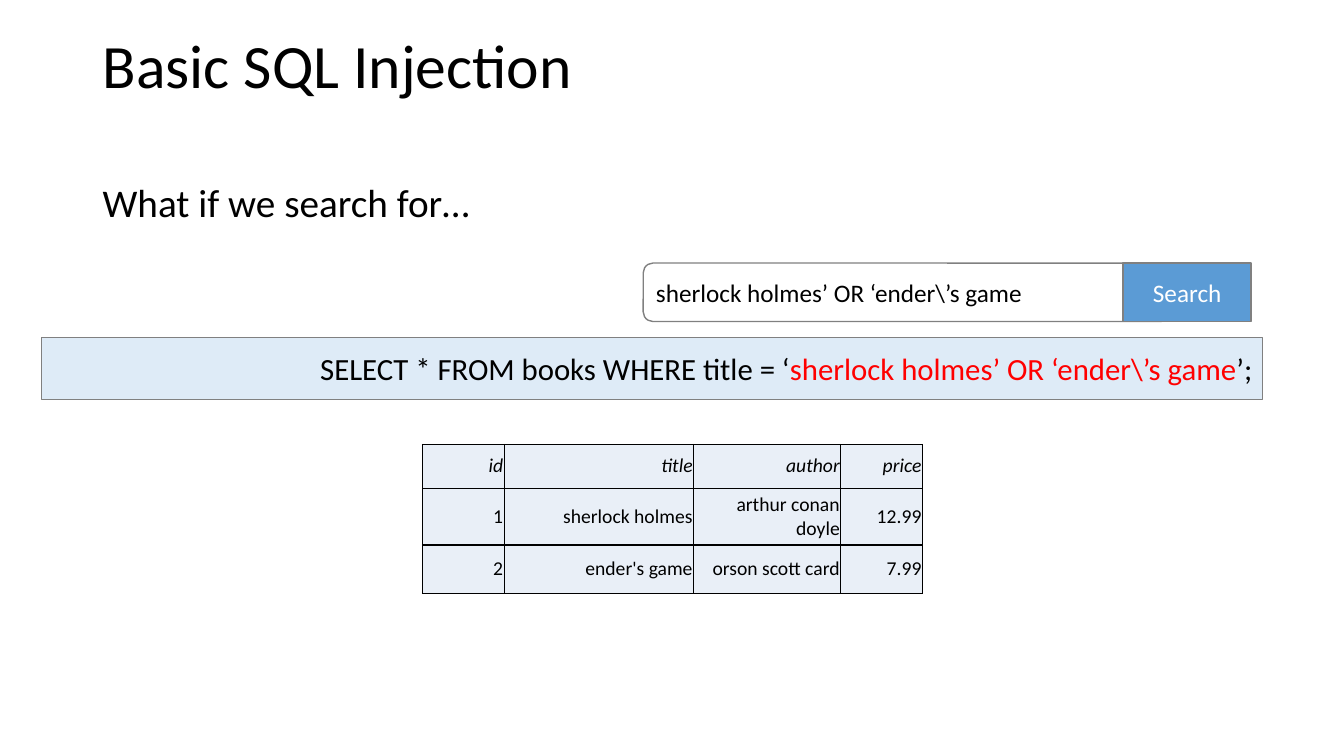
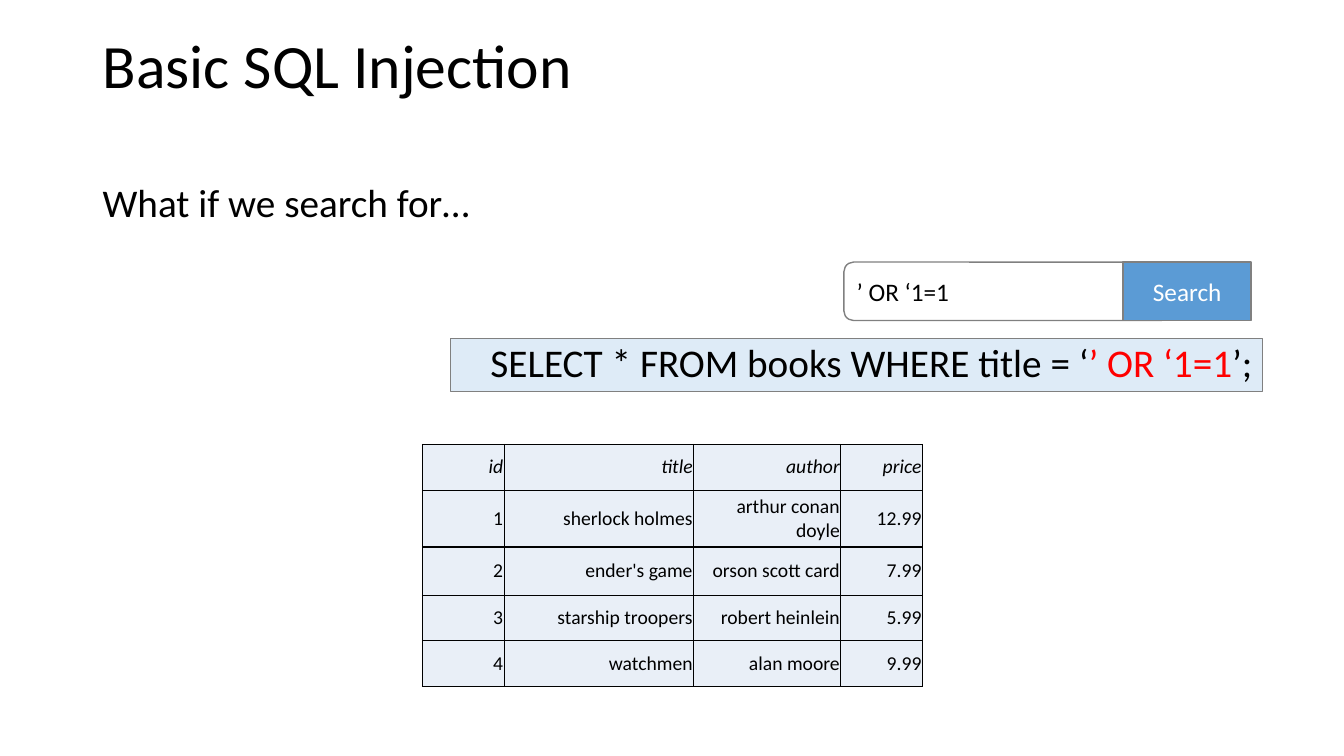
from dataclasses import dataclass
from lxml import etree
from pptx import Presentation, util as u
from pptx.dml.color import RGBColor
from pptx.enum import shapes, text
from pptx.oxml.ns import qn


@dataclass(frozen=True)
class Theme:
    font: str = "Calibri"
    ink: str = "000000"
    white: str = "FFFFFF"
    red: str = "FF0000"
    grey: str = "808080"
    blue: str = "5B9BD5"
    pale: str = "DEEBF7"
    cell: str = "E9EFF7"
    title: int = 44
    body: int = 28
    code: int = 22
    label: int = 18
    table: int = 14


T = Theme()
PX = 9144  # 100 px to the inch
LEFT, MID, RIGHT = text.PP_ALIGN.LEFT, text.PP_ALIGN.CENTER, text.PP_ALIGN.RIGHT
RECT, ROUND = shapes.MSO_SHAPE.RECTANGLE, shapes.MSO_SHAPE.ROUNDED_RECTANGLE
CENTER, TOP = text.MSO_ANCHOR.MIDDLE, text.MSO_ANCHOR.TOP


def write(para, runs, size, align=LEFT):
    """Fill a paragraph with (words, colour) runs."""
    para.alignment = align
    para.font.name, para.font.size = T.font, u.Pt(size)
    for words, color in runs:
        run = para.add_run()
        run.text = words
        run.font.color.rgb = RGBColor.from_string(color)


def box(slide, area, runs, size, align=LEFT, anchor=CENTER, kind=None, fill=T.white, line=1):
    """Add a text box, or a filled and outlined shape when kind is given."""
    area = [n * PX for n in area]
    if kind is None:
        item = slide.shapes.add_textbox(*area)
    else:
        item = slide.shapes.add_shape(kind, *area)
        item.shadow.inherit = False
        item.fill.solid()
        item.fill.fore_color.rgb = RGBColor.from_string(fill)
        item.line.color.rgb = RGBColor.from_string(T.grey)
        item.line.width = u.Pt(line)
    frame = item.text_frame
    frame.word_wrap, frame.vertical_anchor = True, anchor
    write(frame.paragraphs[0], runs, size, align)
    return frame.paragraphs[0]


HEAD = ("id", "title", "author", "price")
BOOKS = [
    ("1", "sherlock holmes", "arthur conan doyle", "12.99"),
    ("2", "ender's game", "orson scott card", "7.99"),
    ("3", "starship troopers", "robert heinlein", "5.99"),
    ("4", "watchmen", "alan moore", "9.99"),
]
COLS = (81, 188, 146, 81)

# Per slide: search term, field left and top, query area, size, anchor, spacing, row heights
PAGES = [
    ("sherlock holmes’ OR ‘ender\\’s game", 638, 261,
     (41, 335, 1211, 61), T.code, CENTER, 1.0, (43, 48, 48)),
    ("’ OR ‘1=1", 837, 260,
     (447, 336, 805, 52), T.body, TOP, 0.9, (45, 48, 48, 45, 45)),
]

deck = Presentation()
deck.slide_width, deck.slide_height = 1333 * PX, 750 * PX

for term, left, top, area, size, anchor, space, rows in PAGES:
    slide = deck.slides.add_slide(deck.slide_layouts[6])

    # Title and prompt
    title = box(slide, (92, 28, 1150, 80), [("Basic SQL Injection", T.ink)], T.title)
    title.line_spacing = 0.9
    box(slide, (92, 172, 404, 58), [("What if we search for…", T.ink)], T.body, anchor=TOP)

    # Query with the injected part in red
    runs = [("SELECT * FROM books WHERE title = ‘", T.ink), (term, T.red), ("’;", T.ink)]
    query = box(slide, area, runs, size, RIGHT, anchor, RECT, T.pale, 0)
    query.line_spacing = space

    # Search field and button
    box(slide, (left, top, 1161 - left, 58), [(term, T.ink)], T.label, kind=ROUND)
    box(slide, (1114, top, 127, 58), [("Search", T.white)], T.label, MID, kind=RECT, fill=T.blue)

    # Result table
    grid = slide.shapes.add_table(
        len(rows), len(COLS), 419 * PX, 441 * PX, sum(COLS) * PX, sum(rows) * PX).table
    for col, width in zip(grid.columns, COLS):
        col.width = width * PX
    for r, (high, book) in enumerate(zip(rows, [HEAD] + BOOKS)):
        grid.rows[r].height = high * PX
        for c, words in enumerate(book):
            cell = grid.cell(r, c)
            cell.margin_left = cell.margin_right = PX
            cell.margin_top = cell.margin_bottom = 5 * PX
            cell.vertical_anchor = CENTER
            cell.fill.solid()
            cell.fill.fore_color.rgb = RGBColor.from_string(T.cell)
            para = cell.text_frame.paragraphs[0]
            write(para, [(words, T.ink)], T.table, RIGHT)
            para.font.bold, para.font.italic = False, r == 0

            # Borders, thinner between the head and the first book
            props = cell._tc.get_or_add_tcPr()
            for i, side in enumerate("LRTB"):
                thin = (r, side) in ((0, "B"), (1, "T"))
                edge = etree.Element(qn("a:ln" + side), w=str(u.Pt(0.5 if thin else 0.96)))
                paint = etree.SubElement(edge, qn("a:solidFill"))
                etree.SubElement(paint, qn("a:srgbClr"), val=T.ink)
                props.insert(i, edge)

deck.save("out.pptx")
